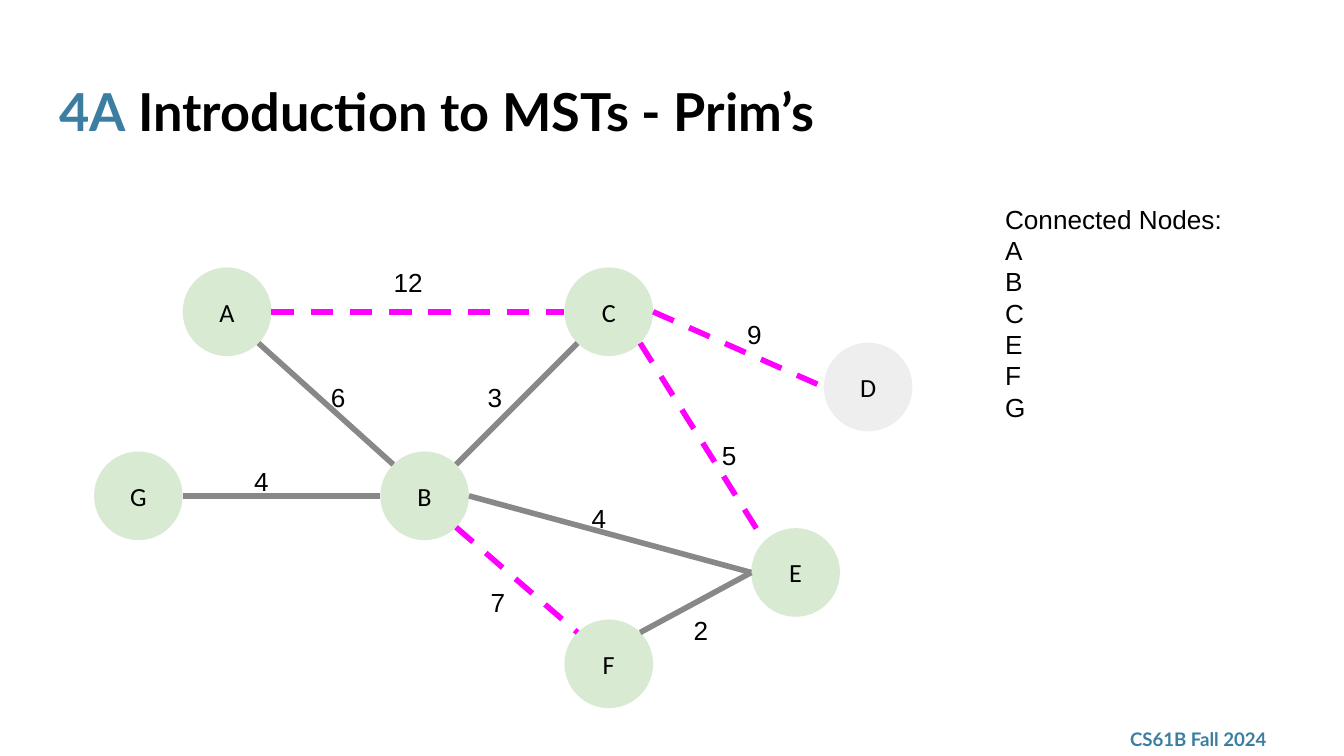
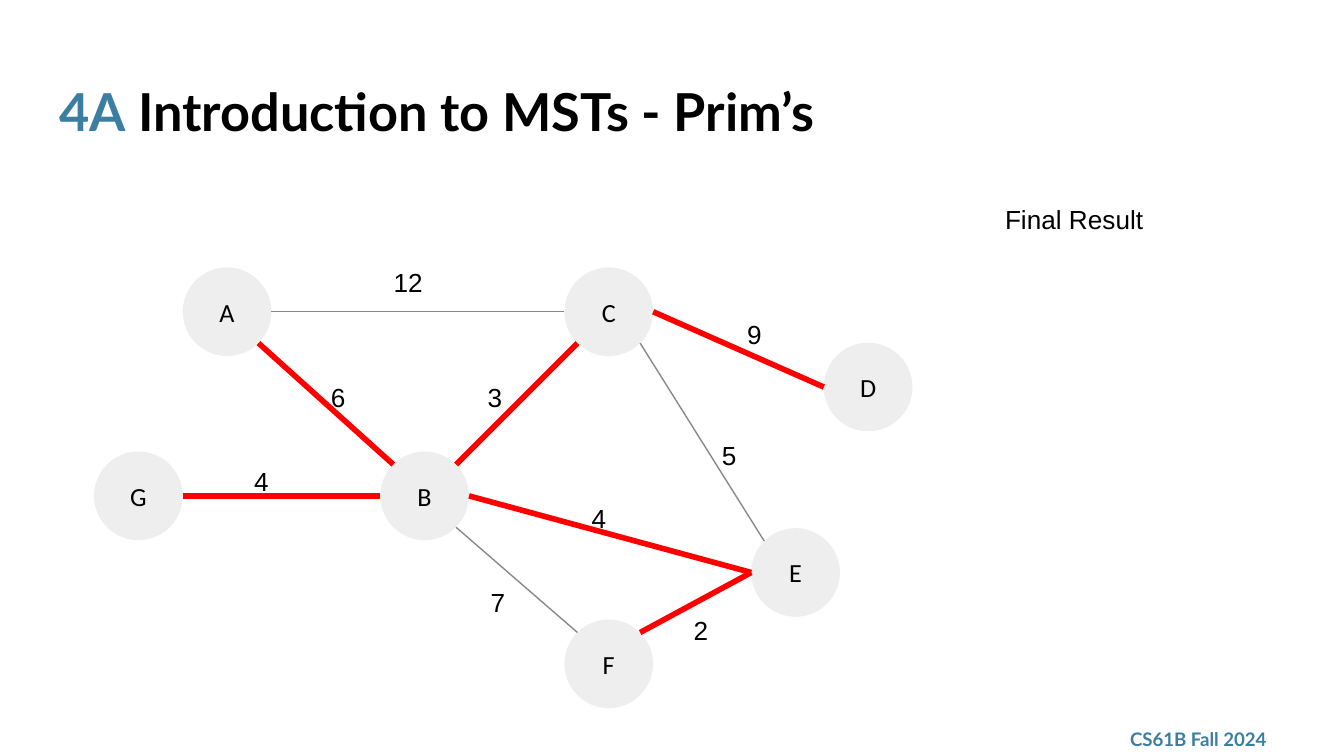
from lxml import etree
from pptx import Presentation
from pptx.dml.color import RGBColor
from pptx.enum import dml, shapes, text
from pptx.oxml import ns
from pptx.util import Inches, Pt

BLUE = RGBColor(0x3B, 0x7E, 0xA1)
BLACK = RGBColor(0, 0, 0)
GREEN = RGBColor(0xD9, 0xEA, 0xD3)
PALE = RGBColor(0xEE, 0xEE, 0xEE)
GRAY = RGBColor(0x88, 0x88, 0x88)
MAGENTA = RGBColor(0xFF, 0, 0xFF)
RED = RGBColor(0xFF, 0, 0)

SIZE = 0.66
DIAG = 0.5 ** 0.5
SITES = {
    "left": (-1, 0), "right": (1, 0),
    "top left": (-DIAG, -DIAG), "top right": (DIAG, -DIAG),
    "bottom left": (-DIAG, DIAG), "bottom right": (DIAG, DIAG),
}
NODES = {
    "A": (1.36, 1.99), "B": (2.83, 3.36), "C": (4.2, 1.99), "D": (6.13, 2.55),
    "E": (5.59, 3.93), "F": (4.2, 4.61), "G": (0.7, 3.36),
}
EDGES = [
    ("A", "right", "C", "left", "12", 2.83, 1.88, 0.66),
    ("A", "bottom right", "B", "top left", "6", 2.39, 2.74, 0.17),
    ("B", "left", "G", "right", "4", 1.82, 3.36, 0.17),
    ("B", "bottom right", "F", "top left", "7", 3.58, 4.26, 0.17),
    ("F", "top right", "E", "left", "2", 5.09, 4.47, 0.17),
    ("B", "right", "E", "left", "4", 4.33, 3.64, 0.17),
    ("B", "top right", "C", "bottom left", "3", 3.53, 2.74, 0.27),
    ("C", "bottom right", "E", "top left", "5", 5.3, 3.17, 0.17),
    ("C", "right", "D", "left", "9", 5.46, 2.27, 0.32),
]
TREE = {"AB", "BG", "FE", "BE", "BC"}
DASH = dml.MSO_LINE.DASH
STEPS = [
    (["Connected Nodes:", *"ABCEFG"], "ABCEFG", TREE, (GRAY, 3, None), (MAGENTA, 3, DASH)),
    (["Final Result"], "", TREE | {"CD"}, (RED, 3, None), (GRAY, 0.75, None)),
]


def write(sp, lines, font, size, color, bold=False, align=text.PP_ALIGN.LEFT,
          anchor=text.MSO_ANCHOR.TOP):
    tf = sp.text_frame
    tf.text = "\n".join(lines)
    tf.word_wrap = True
    tf.auto_size = text.MSO_AUTO_SIZE.NONE
    tf.vertical_anchor = anchor
    tf.margin_left = tf.margin_right = tf.margin_top = tf.margin_bottom = Inches(0.1)
    for p in tf.paragraphs:
        p.alignment = align
        for r in p.runs:
            r.font.name = font
            r.font.size = Pt(size)
            r.font.bold = bold
            r.font.color.rgb = color
    return tf


def site_point(node, site):
    return [Inches(start + SIZE / 2 * (1 + d)) for start, d in zip(NODES[node], SITES[site])]


prs = Presentation()
prs.slide_width = Inches(10)
prs.slide_height = prs.slide_width * 9 // 16

for caption, visited, tree, tree_line, other_line in STEPS:
    s = prs.slides.add_slide(prs.slide_layouts[5])

    footer = s.shapes.add_textbox(Inches(8.31), Inches(5.37), Inches(1.35), Inches(0.26))
    write(footer, ["CS61B Fall 2024"], "Lato", 10, BLUE, True, anchor=text.MSO_ANCHOR.MIDDLE)

    title = s.shapes.title
    title.left, title.top = Inches(0.34), Inches(0.49)
    title.width, title.height = Inches(9.32), Inches(0.63)
    p = write(title, ["4A"], "Lato", 28, BLUE, True).paragraphs[0]
    r = p.add_run()
    r.text = " Introduction to MSTs - Prim’s"
    r.font.name, r.font.size, r.font.bold = "Lato", Pt(28), True
    r.font.color.rgb = BLACK

    for name, (left, top) in NODES.items():
        sp = s.shapes.add_shape(shapes.MSO_SHAPE.OVAL, Inches(left), Inches(top),
                                Inches(SIZE), Inches(SIZE))
        sp.shadow.inherit = False
        sp.fill.solid()
        sp.fill.fore_color.rgb = GREEN if name in visited else PALE
        sp.line.fill.background()
        write(sp, [name], "Calibri", 14, BLACK, align=text.PP_ALIGN.CENTER,
              anchor=text.MSO_ANCHOR.MIDDLE)

    for start, start_site, end, end_site, *label in EDGES:
        color, width, dash = tree_line if start + end in tree else other_line
        cxn = s.shapes.add_connector(shapes.MSO_CONNECTOR.STRAIGHT,
                                     *site_point(start, start_site),
                                     *site_point(end, end_site))
        cxn.line.color.rgb = color
        cxn.line.width = Pt(width)
        if dash:
            cxn.line.dash_style = dash
        etree.SubElement(cxn._element.spPr, ns.qn("a:effectLst"))

    for *ends, weight, left, top, width in EDGES:
        sp = s.shapes.add_textbox(Inches(left), Inches(top), Inches(width), Inches(0.44))
        tf = write(sp, [weight], "Arial", 14, BLACK)
        tf.auto_size = text.MSO_AUTO_SIZE.SHAPE_TO_FIT_TEXT

    sp = s.shapes.add_textbox(Inches(7.38), Inches(1.41), Inches(2.37),
                              Inches(0.2 + 0.24 * len(caption)))
    tf = write(sp, caption, "Arial", 14, BLACK)
    tf.auto_size = text.MSO_AUTO_SIZE.SHAPE_TO_FIT_TEXT

prs.save("out.pptx")
